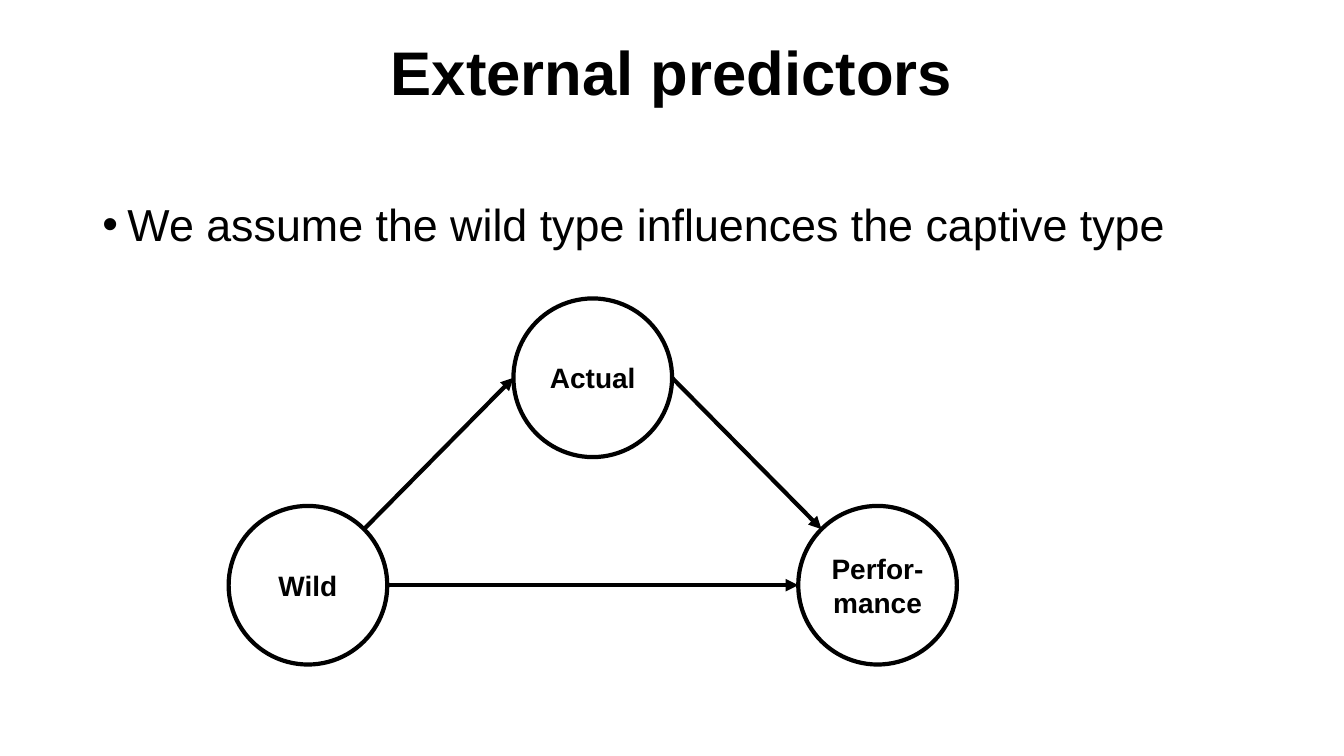
from dataclasses import dataclass
from math import cos, radians, sin

from lxml.etree import SubElement
from pptx import Presentation
from pptx.dml.color import RGBColor
from pptx.enum.shapes import MSO_CONNECTOR, MSO_SHAPE
from pptx.enum.text import MSO_ANCHOR, PP_ALIGN
from pptx.oxml.ns import qn
from pptx.util import Pt


@dataclass(frozen=True)
class Theme:
    font: str = "Arial"
    ink: RGBColor = RGBColor(0, 0, 0)
    paper: RGBColor = RGBColor(255, 255, 255)
    title_size: int = 44
    body_size: int = 32
    node_size: int = 20
    line_width: int = 3


@dataclass(frozen=True)
class Box:
    left: float
    top: float
    width: float
    height: float

    def lengths(self):
        return [Pt(value) for value in (self.left, self.top, self.width, self.height)]


THEME = Theme()


def add_text(paragraph, text, size, bold=False):
    run = paragraph.add_run()
    run.text = text
    run.font.name = THEME.font
    run.font.size = Pt(size)
    run.font.bold = bold
    run.font.color.rgb = THEME.ink


def add_text_frame(slide, box, anchor):
    frame = slide.shapes.add_textbox(*box.lengths()).text_frame
    frame.word_wrap = True
    frame.vertical_anchor = anchor
    return frame


def add_title(slide, box, text):
    paragraph = add_text_frame(slide, box, MSO_ANCHOR.MIDDLE).paragraphs[0]
    paragraph.alignment = PP_ALIGN.CENTER
    paragraph.line_spacing = 0.9
    add_text(paragraph, text, THEME.title_size, bold=True)


def add_bullets(slide, box, items):
    frame = add_text_frame(slide, box, MSO_ANCHOR.TOP)
    for index, item in enumerate(items):
        paragraph = frame.add_paragraph() if index else frame.paragraphs[0]
        paragraph.line_spacing = 1.5
        paragraph.space_before = Pt(10)
        properties = paragraph._p.get_or_add_pPr()
        properties.set("marL", str(Pt(18)))
        properties.set("indent", str(Pt(-18)))
        SubElement(properties, qn("a:buFont")).set("typeface", THEME.font)
        SubElement(properties, qn("a:buChar")).set("char", "•")
        add_text(paragraph, item, THEME.body_size)


def add_node(slide, box, lines):
    shape = slide.shapes.add_shape(MSO_SHAPE.OVAL, *box.lengths())
    shape.shadow.inherit = False
    shape.fill.solid()
    shape.fill.fore_color.rgb = THEME.paper
    shape.line.color.rgb = THEME.ink
    shape.line.width = Pt(THEME.line_width)
    frame = shape.text_frame
    frame.word_wrap = True
    frame.margin_left = frame.margin_right = 0
    frame.vertical_anchor = MSO_ANCHOR.MIDDLE
    paragraph = frame.paragraphs[0]
    paragraph.alignment = PP_ALIGN.CENTER
    for index, line in enumerate(lines):
        if index:
            paragraph.add_line_break()
        add_text(paragraph, line, THEME.node_size, bold=True)


def rim_point(box, degrees):
    angle = radians(degrees)
    return (
        Pt(box.left + box.width / 2 * (1 + cos(angle))),
        Pt(box.top + box.height / 2 * (1 - sin(angle))),
    )


def add_arrow(slide, start, end):
    connector = slide.shapes.add_connector(MSO_CONNECTOR.STRAIGHT, *start, *end)
    connector.line.color.rgb = THEME.ink
    connector.line.width = Pt(THEME.line_width)
    SubElement(connector.line._get_or_add_ln(), qn("a:tailEnd")).set("type", "triangle")
    SubElement(connector._element.spPr, qn("a:effectLst"))


def add_path_diagram(slide, box):
    diameter = 113.3
    middle = box.left + (box.width - diameter) / 2
    right = box.left + box.width - diameter
    bottom = box.top + box.height - diameter
    performance = Box(right, bottom, diameter, diameter)
    actual = Box(middle, box.top, diameter, diameter)
    wild = Box(box.left, bottom, diameter, diameter)

    add_node(slide, performance, ["Perfor-", "mance"])
    add_node(slide, actual, ["Actual"])
    add_node(slide, wild, ["Wild"])

    arrows = [
        (wild, 45, actual, 180),
        (actual, 0, performance, 135),
        (wild, 0, performance, 180),
    ]
    for source, source_angle, target, target_angle in arrows:
        add_arrow(slide, rim_point(source, source_angle), rim_point(target, target_angle))


def main():
    presentation = Presentation()
    presentation.slide_width = Pt(960)
    presentation.slide_height = Pt(540)
    slide = presentation.slides.add_slide(presentation.slide_layouts[6])
    add_title(slide, Box(66, 2, 828, 104.4), "External predictors")
    add_bullets(
        slide,
        Box(66, 118, 828, 368),
        ["We assume the wild type influences the captive type"],
    )
    add_path_diagram(slide, Box(163.3, 213.2, 520.2, 261.5))
    presentation.save("out.pptx")


if __name__ == "__main__":
    main()
